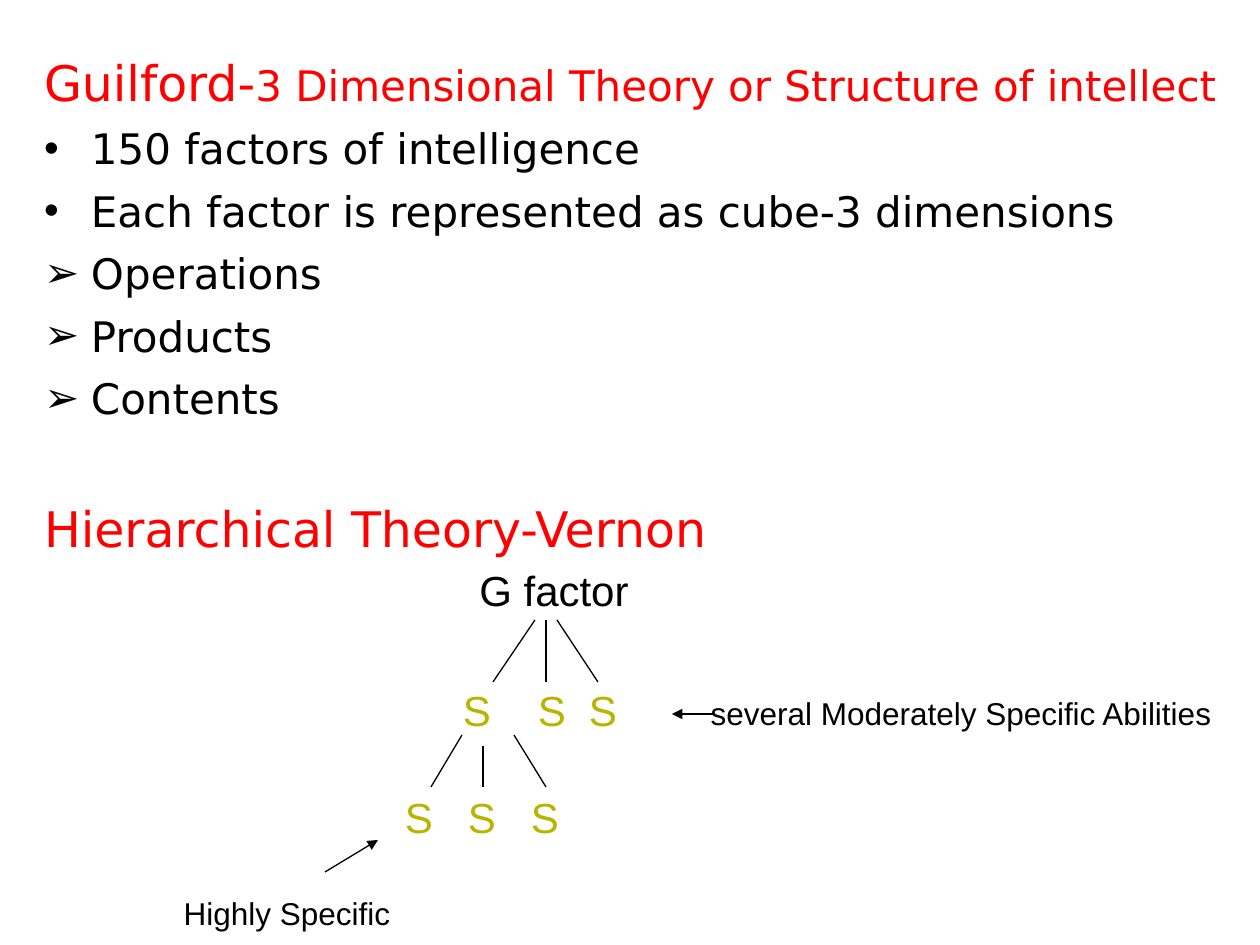
from lxml import etree
from pptx import Presentation
from pptx import util as u
from pptx.dml.color import RGBColor
from pptx.enum import shapes, text
from pptx.oxml import ns

PX = 914400 // 126
RED, BLACK, OLIVE = "FF0000", "000000", "B8B400"
HEADING, BODY, SMALL = 28, 24, 18
OUTLINE_FONT, TREE_FONT = "DejaVu Sans", "Arial"
INDENT = 47

# Runs (words, size, colour), bullet, space before in px
OUTLINE = [
    ([("Guilford-", HEADING, RED),
      ("3 Dimensional Theory or Structure of intellect", BODY, RED)], None, 0),
    ([("150 factors of intelligence", BODY, BLACK)], "•", 12),
    ([("Each factor is represented as cube-3 dimensions", BODY, BLACK)], "•", 12),
    ([("Operations", BODY, BLACK)], "➢", 12),
    ([("Products", BODY, BLACK)], "➢", 12),
    ([("Contents", BODY, BLACK)], "➢", 12),
    ([("Hierarchical Theory-Vernon", HEADING, RED)], None, 76),
]
BULLET_FONTS = {"•": "Arial", "➢": "DejaVu Sans"}

# Words, centre x, centre y, width, size, colour
LABELS = [
    ("G factor", 554, 590, 170, BODY, BLACK),
    *[("S", x, 710, 40, BODY, OLIVE) for x in (477, 552, 603)],
    *[("S", x, 817, 40, BODY, OLIVE) for x in (419, 482, 545)],
    ("several Moderately Specific Abilities", 961, 713, 530, SMALL, BLACK),
    ("Highly Specific", 287, 913, 230, SMALL, BLACK),
]
LABEL_HEIGHT = 50

BRANCHES = [
    (535, 620, 493, 682), (546, 620, 546, 682), (557, 620, 598, 682),
    (462, 735, 431, 787), (483, 746, 483, 787), (514, 735, 546, 787),
]
POINTERS = [(714, 714, 672, 714), (325, 872, 378, 840)]


def px(*lengths):
    return [u.Emu(length * PX) for length in lengths]


def colour(value):
    return RGBColor.from_string(value)


def add_box(page, left, top, width, height, margins=(0, 0, 0, 0)):
    frame = page.shapes.add_textbox(*px(left, top, width, height)).text_frame
    frame.word_wrap = True
    (frame.margin_left, frame.margin_top,
     frame.margin_right, frame.margin_bottom) = px(*margins)
    return frame


def write(para, words, *, size, ink, font):
    span = para.add_run()
    span.text = words
    span.font.size = u.Pt(size)
    span.font.name = font
    span.font.color.rgb = colour(ink)


def set_bullet(para, bullet):
    """Give a paragraph its hanging indent and its bullet, if any."""
    props = para._p.get_or_add_pPr()
    props.set("marL", str(INDENT * PX))
    props.set("indent", str(-INDENT * PX))
    if bullet is None:
        etree.SubElement(props, ns.qn("a:buNone"))
        return
    ink = etree.SubElement(props, ns.qn("a:buClr"))
    etree.SubElement(ink, ns.qn("a:srgbClr"), val=BLACK)
    etree.SubElement(props, ns.qn("a:buFont"), typeface=BULLET_FONTS[bullet])
    etree.SubElement(props, ns.qn("a:buChar"), char=bullet)


def add_outline(page):
    frame = add_box(page, 31, 42, 1229, 510, margins=(13, 10, 13, 6))
    for index, (runs, bullet, gap) in enumerate(OUTLINE):
        para = frame.add_paragraph() if index else frame.paragraphs[0]
        para.space_before = px(gap)[0]
        set_bullet(para, bullet)
        for words, size, ink in runs:
            write(para, words, size=size, ink=ink, font=OUTLINE_FONT)


def add_label(page, words, x, y, width, size, ink):
    frame = add_box(page, x - width // 2, y - LABEL_HEIGHT // 2, width, LABEL_HEIGHT)
    frame.vertical_anchor = text.MSO_ANCHOR.MIDDLE
    para = frame.paragraphs[0]
    para.alignment = text.PP_ALIGN.CENTER
    write(para, words, size=size, ink=ink, font=TREE_FONT)


def add_line(page, ends, arrow=False):
    line = page.shapes.add_connector(shapes.MSO_CONNECTOR.STRAIGHT, *px(*ends))
    line.line.color.rgb = colour(BLACK)
    line.line.width = u.Pt(0.75)
    if arrow:
        etree.SubElement(line.line._get_or_add_ln(), ns.qn("a:tailEnd"), type="triangle")
    etree.SubElement(line._element.spPr, ns.qn("a:effectLst"))


def main():
    deck = Presentation()
    deck.slide_width, deck.slide_height = u.Inches(10), u.Inches(7.5)
    page = deck.slides.add_slide(deck.slide_layouts[6])
    add_outline(page)
    for label in LABELS:
        add_label(page, *label)
    for ends in BRANCHES:
        add_line(page, ends)
    for ends in POINTERS:
        add_line(page, ends, arrow=True)
    deck.save("out.pptx")


if __name__ == "__main__":
    main()
